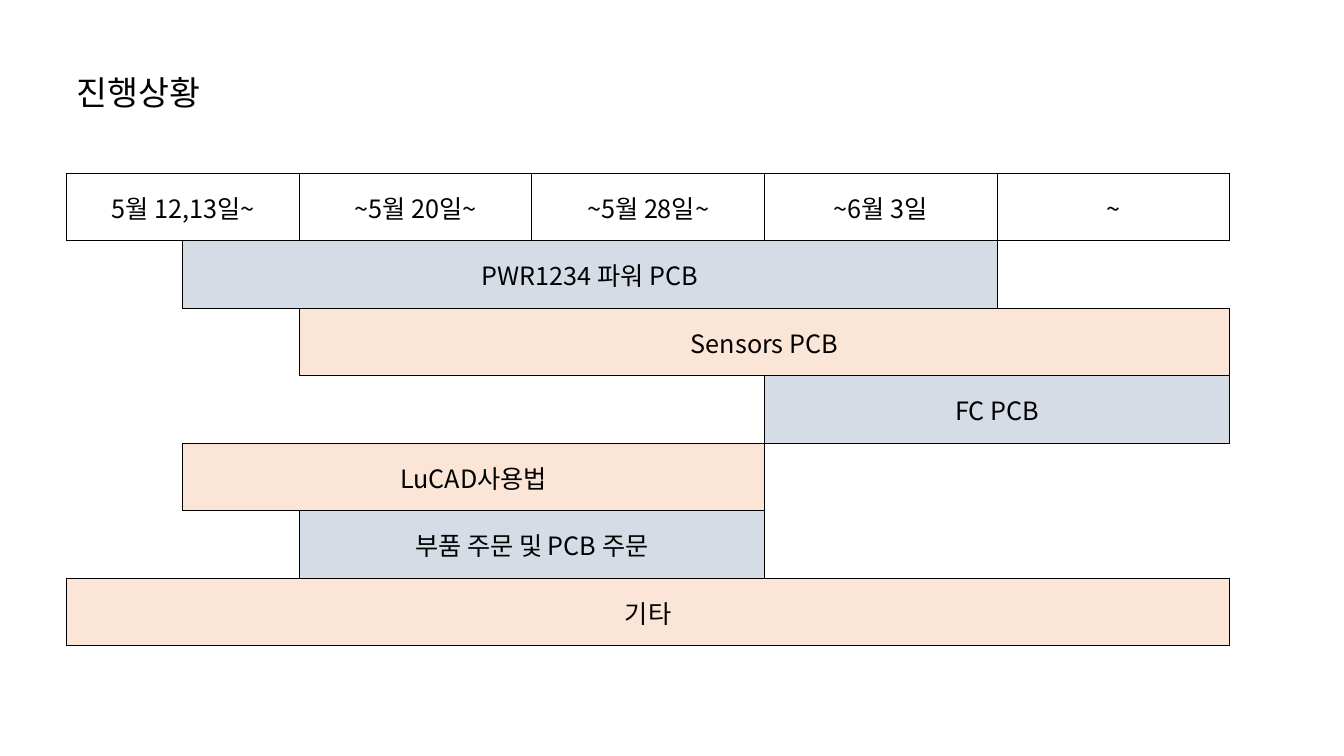
from lxml.etree import SubElement
from pptx import Presentation
from pptx.dml.color import RGBColor
from pptx.enum.text import MSO_ANCHOR, MSO_AUTO_SIZE, PP_ALIGN
from pptx.oxml.ns import qn
from pptx.util import Pt

FONT = "Noto Sans CJK KR"
COLORS = {"ink": "000000", "blue": "D6DCE5", "peach": "FBE5D6", "white": "FFFFFF"}
PLAIN_STYLE = "{2D5ABB26-0587-4C30-8999-92F81FD0307C}"
COLS = [83.1, 83.1] + [166.2] * 4
ROWS = 7

# row, first column, column count, text, fill
BARS = [
    (0, 0, 2, "5월 12,13일~", None),
    (0, 2, 1, "~5월 20일~", None),
    (0, 3, 1, "~5월 28일~", None),
    (0, 4, 1, "~6월 3일", None),
    (0, 5, 1, "~", None),
    (1, 1, 4, "PWR1234 파워 PCB", "blue"),
    (2, 2, 4, "Sensors PCB", "peach"),
    (3, 4, 2, "FC PCB", "blue"),
    (4, 1, 3, "LuCAD사용법", "peach"),
    (4, 4, 2, "", "white"),
    (5, 2, 2, "부품 주문 및 PCB 주문", "blue"),
    (6, 0, 6, "기타", "peach"),
]


def write(frame, text, size):
    frame.text = text
    for run in frame.paragraphs[0].runs:
        run.font.size = Pt(size)
        run.font.name = FONT
        run.font.color.rgb = RGBColor.from_string(COLORS["ink"])
        SubElement(run.font._element, qn("a:ea"), typeface=FONT)


def draw_edges(cell, sides):
    """Set all four lines, visible on the given sides, ahead of the fill."""
    props = cell._tc.get_or_add_tcPr()
    for spot, side in enumerate("LRTB"):
        line = SubElement(props, qn("a:ln" + side), w=str(Pt(1)))
        if side in sides:
            fill = SubElement(line, qn("a:solidFill"))
            SubElement(fill, qn("a:srgbClr"), val=COLORS["ink"])
        else:
            SubElement(line, qn("a:noFill"))
        props.insert(spot, line)


def find_sides(row, col, owner):
    """Return the sides of a cell that lie on the outline of a bar."""
    bar = owner.get((row, col))
    if bar:
        first, last = bar[1], bar[1] + bar[2] - 1
        # The first cell of a merged bar carries its whole outline.
        right = "R" if col in (first, last) else ""
        return "TB" + right + ("L" if col == first else "")
    near = {"L": (row, col - 1), "R": (row, col + 1),
            "T": (row - 1, col), "B": (row + 1, col)}
    return [side for side, place in near.items() if place in owner]


def add_title(slide, left, top, width, height):
    box = slide.shapes.add_textbox(Pt(left), Pt(top), Pt(width), Pt(height))
    frame = box.text_frame
    write(frame, "진행상황", 24)
    frame.word_wrap = True
    frame.auto_size = MSO_AUTO_SIZE.SHAPE_TO_FIT_TEXT


def add_schedule(slide, left, top, width, height):
    shape = slide.shapes.add_table(ROWS, len(COLS), Pt(left), Pt(top),
                                   Pt(width), Pt(height))
    table = shape.table
    table.first_row = table.horz_banding = False
    table._tbl.tblPr.find(qn("a:tableStyleId")).text = PLAIN_STYLE
    for column, share in zip(table.columns, COLS):
        column.width = Pt(width * share / sum(COLS))
    for line in table.rows:
        line.height = Pt(height / ROWS)

    owner = {(bar[0], bar[1] + step): bar
             for bar in BARS if bar[3] for step in range(bar[2])}
    for row in range(ROWS):
        for col in range(len(COLS)):
            cell = table.cell(row, col)
            cell.fill.background()
            draw_edges(cell, find_sides(row, col, owner))

    for row, col, count, text, color in BARS:
        cell = table.cell(row, col)
        if count > 1:
            cell.merge(table.cell(row, col + count - 1))
        if color:
            cell.fill.solid()
            cell.fill.fore_color.rgb = RGBColor.from_string(COLORS[color])
        cell.vertical_anchor = MSO_ANCHOR.MIDDLE
        write(cell.text_frame, text, 18)
        cell.text_frame.paragraphs[0].alignment = PP_ALIGN.CENTER


def main():
    deck = Presentation()
    deck.slide_width, deck.slide_height = Pt(960), Pt(540)
    slide = deck.slides.add_slide(deck.slide_layouts[6])
    add_title(slide, 47.5, 47.5, 126, 36)
    add_schedule(slide, 47.5, 123.8, 831, 337.7)
    deck.save("out.pptx")


if __name__ == "__main__":
    main()
